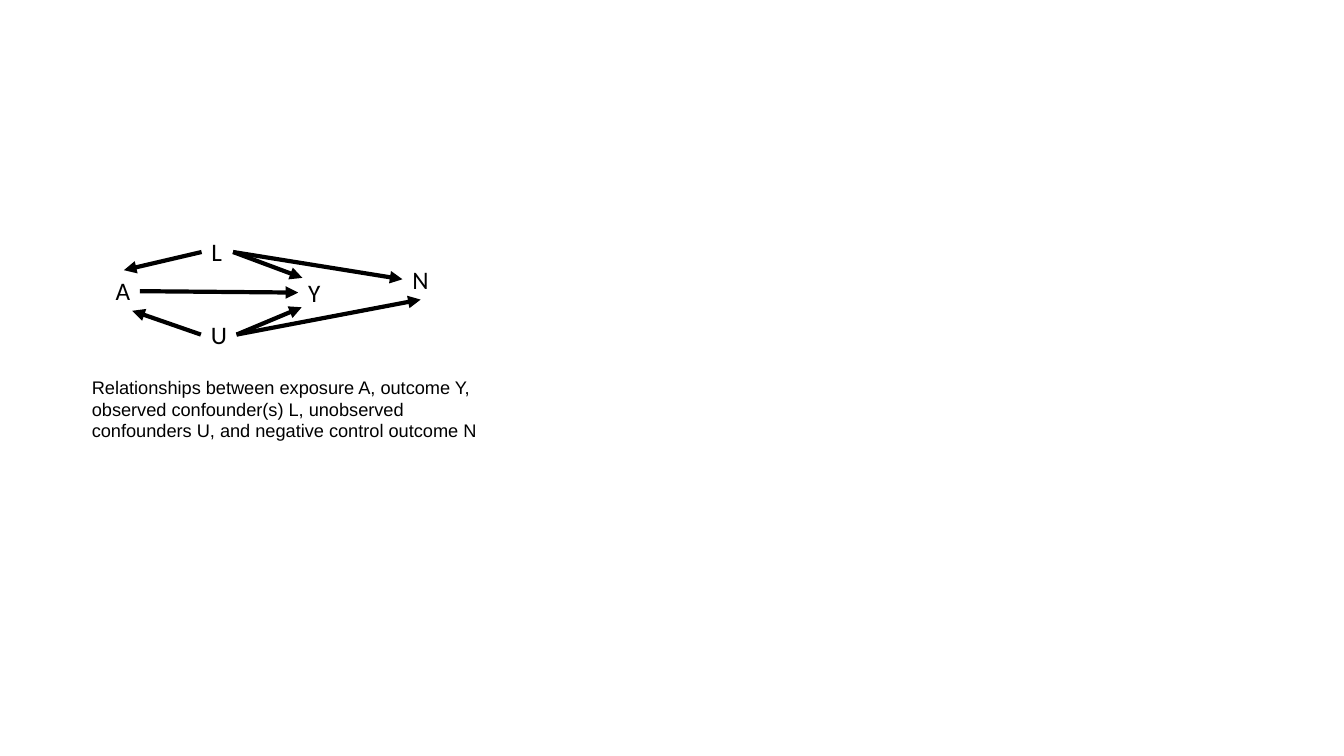
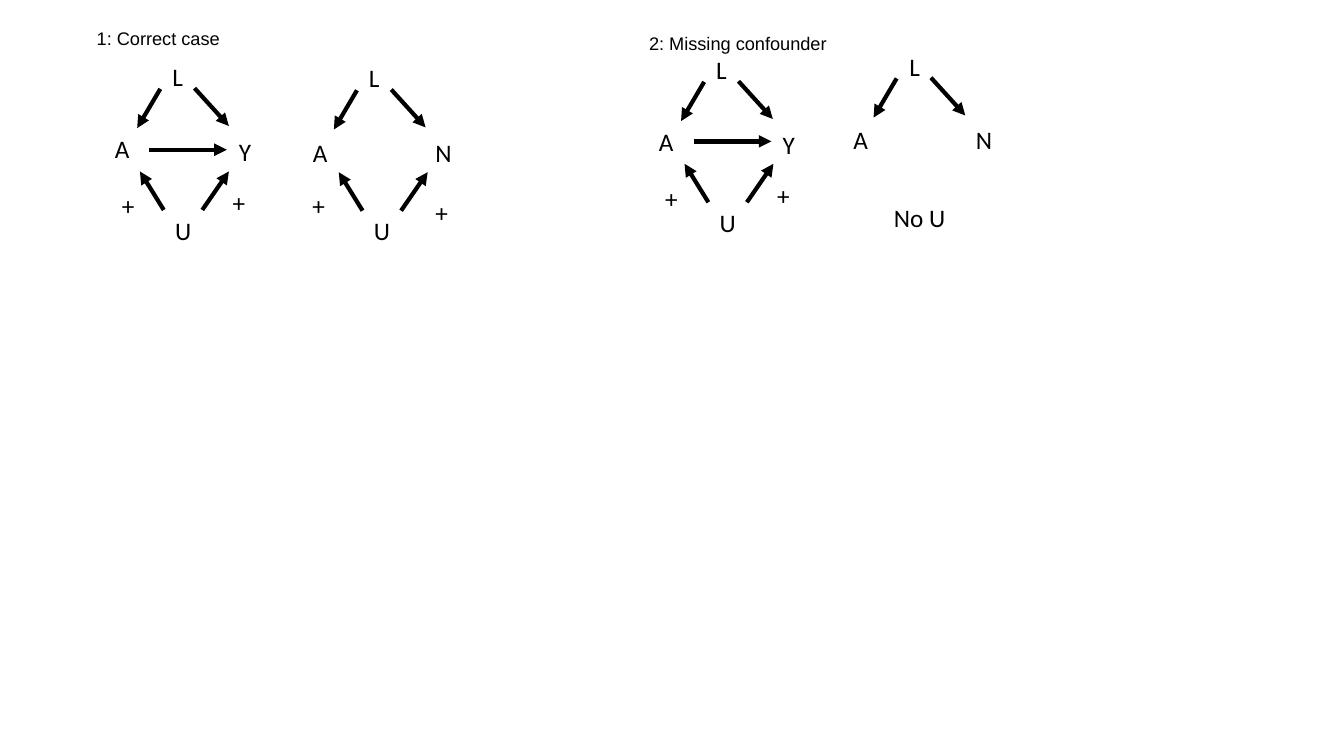
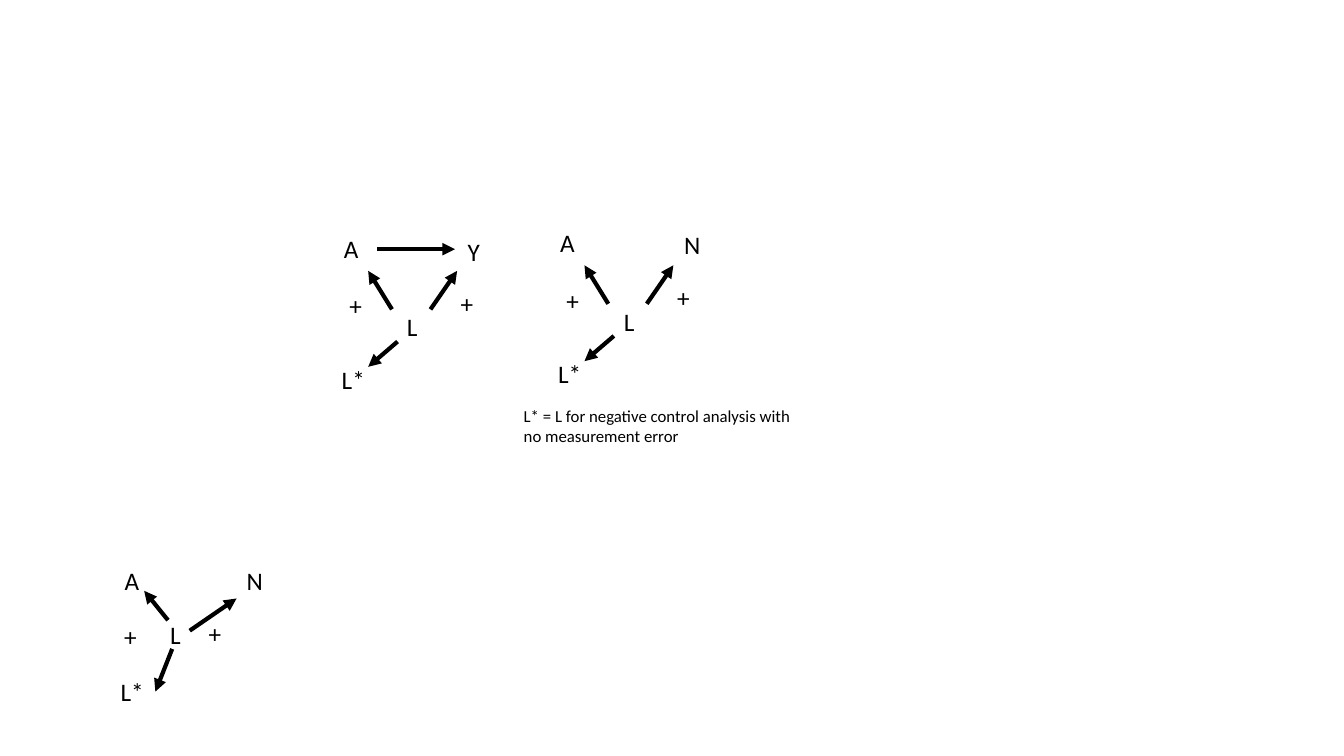
import pptx
import pptx.dml.color
import pptx.enum.shapes
import pptx.enum.text
import pptx.oxml.ns
import pptx.util
from lxml import etree

Pt = pptx.util.Pt
INK = "000000"
NODE_FONT, CAPTION_FONT = "Calibri", "Arial"
NODE_SIZE, CAPTION_SIZE, NOTE_SIZE = 18, 13, 12
NODE_HEIGHT = 29
NODE_WIDTHS = {"A": 25, "Y": 23, "N": 26, "U": 26, "L": 22, "L*": 32, "+": 24, "No U": 52}
ARROW_WIDTH = 3

L_TO_BOTH = [((-1.5, 23), (-18, 51)), ((23, 22.5), (47.5, 49.5))]
U_TO_BOTH = [((-1, 0), (-18, -27.5)), ((26.5, 0), (45.5, -27.5))]
A_TO_Y = [((-11.5, -43), (44, -43))]
L_TO_PROXY = [((3, 23), (-18, 41))]


def paint(target, colour):
    target.rgb = pptx.dml.color.RGBColor.from_string(colour)


def add_text(slide, text, box, size, font, wrap=True):
    textbox = slide.shapes.add_textbox(*(Pt(length) for length in box))
    frame = textbox.text_frame
    frame.word_wrap = wrap
    frame.auto_size = pptx.enum.text.MSO_AUTO_SIZE.SHAPE_TO_FIT_TEXT
    paragraph = frame.paragraphs[0]
    paragraph.text = text
    paragraph.font.name = font
    paragraph.font.size = Pt(size)
    paint(paragraph.font.color, INK)


def add_nodes(slide, nodes):
    for label, left, top in nodes:
        box = (left, top, NODE_WIDTHS[label], NODE_HEIGHT)
        add_text(slide, label, box, NODE_SIZE, NODE_FONT, wrap=False)


def add_arrows(slide, arrows, x=0, y=0):
    for (x1, y1), (x2, y2) in arrows:
        arrow = slide.shapes.add_connector(
            pptx.enum.shapes.MSO_CONNECTOR.STRAIGHT,
            Pt(x + x1), Pt(y + y1), Pt(x + x2), Pt(y + y2))
        arrow.line.width = Pt(ARROW_WIDTH)
        paint(arrow.line.color, INK)
        outline = arrow.line._get_or_add_ln()
        etree.SubElement(outline, pptx.oxml.ns.qn("a:tailEnd"), type="triangle")
        etree.SubElement(arrow._element.spPr, pptx.oxml.ns.qn("a:effectLst"))


def build_relationships(slide):
    add_nodes(slide, [
        ("A", 75.5, 193), ("Y", 213, 194.5), ("U", 143.5, 224.5),
        ("N", 287.5, 185), ("L", 144, 165.5)])
    from_l, from_u = (166.5, 180), (169, 239)
    add_arrows(slide, [
        ((144, 180), (88.5, 193)),
        ((100, 208), (213, 209)),
        (from_l, (216, 198.5)),
        (from_l, (287.5, 199.5)),
        (from_u, (215.5, 219.5)),
        (from_u, (300.5, 214)),
        ((143.5, 239), (94.5, 222)),
    ])
    add_text(slide,
             "Relationships between exposure A, outcome Y, observed confounder(s) L, "
             "unobserved confounders U, and negative control outcome N",
             (58.5, 265, 309, 55), CAPTION_SIZE, CAPTION_FONT)


def build_cases(slide):
    add_text(slide, "1: Correct case", (62, 16, 130, 23), CAPTION_SIZE, CAPTION_FONT)
    add_text(slide, "2: Missing confounder", (456.5, 19.5, 143, 23),
             CAPTION_SIZE, CAPTION_FONT, wrap=False)
    add_nodes(slide, [
        ("L", 116, 40.5), ("A", 75, 91.5), ("Y", 163.5, 93.5), ("U", 118, 150),
        ("+", 80, 132.5), ("+", 159, 130.5),
        ("L", 256.5, 41), ("A", 216.5, 94.5), ("N", 304, 94.5), ("U", 260, 150.5),
        ("+", 216, 132.5), ("+", 304, 137.5),
        ("L", 504.5, 35.5), ("A", 463.5, 86.5), ("Y", 552, 88.5), ("U", 507, 144.5),
        ("+", 468, 127.5), ("+", 548, 125.5),
        ("L", 642.5, 33), ("A", 602.5, 85.5), ("N", 690, 85.5), ("No U", 631.5, 141)])
    for x, y in [(116, 40.5), (256.5, 41.5), (504.5, 35.5), (642, 33)]:
        add_arrows(slide, L_TO_BOTH, x, y)
    for x, y in [(118, 150), (260, 150.5), (507, 144.5)]:
        add_arrows(slide, U_TO_BOTH, x, y)
    for x, y in [(118, 150), (507, 144)]:
        add_arrows(slide, A_TO_Y, x, y)


def build_measurement_error(slide):
    add_nodes(slide, [
        ("A", 238.5, 163), ("Y", 327, 165), ("L", 283.5, 219), ("L*", 237, 256.5),
        ("+", 242.5, 204), ("+", 322, 202.5),
        ("A", 393, 159), ("N", 481.5, 160.5), ("L", 438.5, 215.5), ("L*", 391.5, 252.5),
        ("+", 397.5, 200), ("+", 476.5, 198),
        ("A", 82, 400.5), ("N", 169, 400.5), ("L", 114.5, 438.5), ("L*", 79, 479.5),
        ("+", 81.5, 440), ("+", 142, 438)])
    for x, y in [(281, 221), (435.5, 217)]:
        add_arrows(slide, U_TO_BOTH + L_TO_PROXY, x, y)
    add_arrows(slide, A_TO_Y, 281, 221)
    add_arrows(slide, [
        ((135.5, 450.5), (169, 427.5)),
        ((120, 443), (103, 422)),
        ((123, 463.5), (111, 494)),
    ])
    add_text(slide, "L* = L for negative control analysis with no measurement error",
             (367, 286, 220, 36), NOTE_SIZE, NODE_FONT)


def main():
    deck = pptx.Presentation()
    deck.slide_width, deck.slide_height = Pt(960), Pt(540)
    blank = deck.slide_layouts[6]
    for build in (build_relationships, build_cases, build_measurement_error):
        build(deck.slides.add_slide(blank))
    deck.save("out.pptx")


if __name__ == "__main__":
    main()
